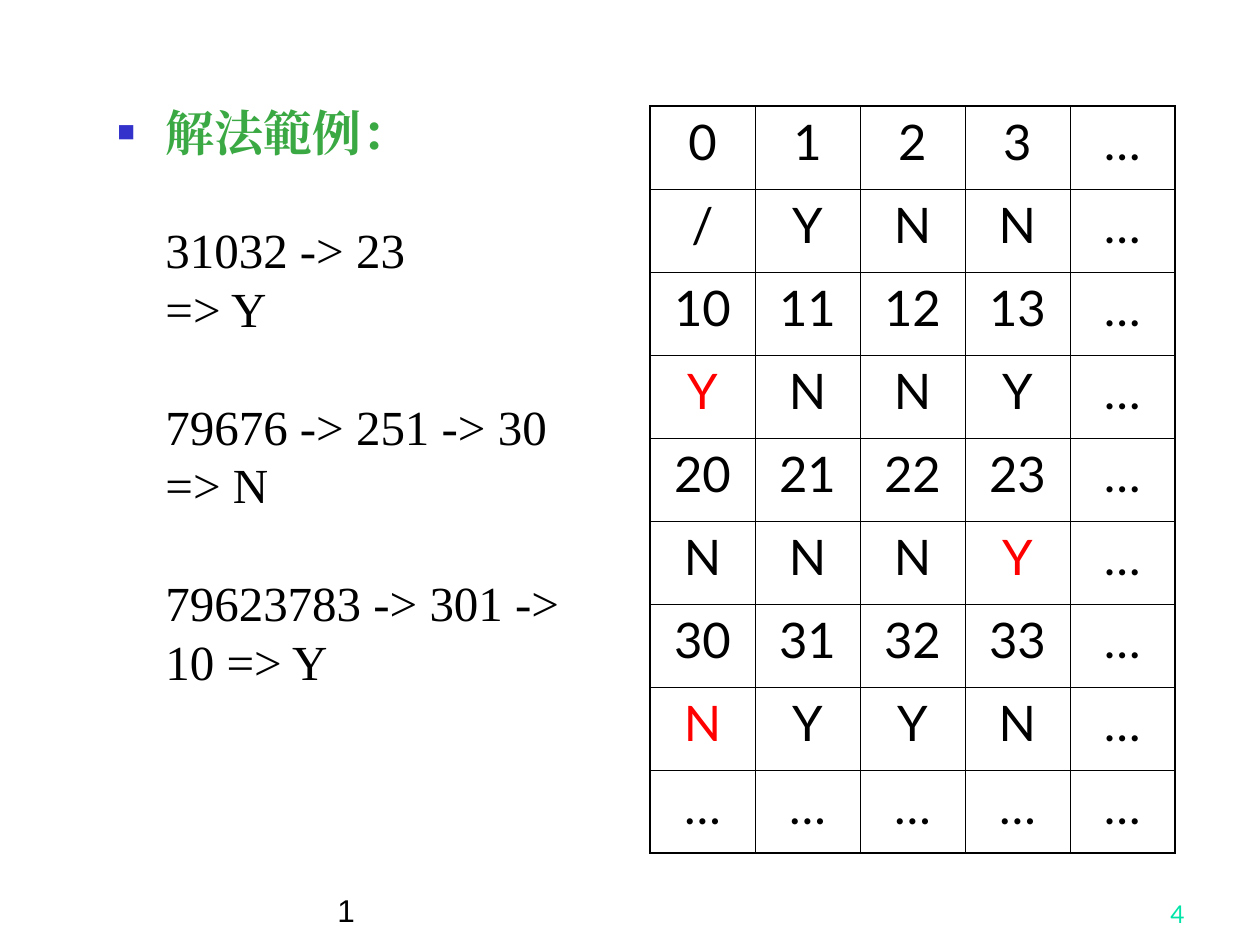
"""Build a slide with worked examples beside a lookup table of Y and N answers."""
from typing import NamedTuple, Optional

from lxml.etree import SubElement
from pptx import Presentation
from pptx.dml.color import RGBColor
from pptx.enum.text import MSO_ANCHOR as Anchor, PP_ALIGN as Align
from pptx.oxml.ns import qn
from pptx.util import Emu, Pt

PIXELS_PER_INCH = 126
BLACK, RED, GREEN, BLUE, TEAL = "000000", "FF0000", "3BA943", "3333CC", "00E4A8"
SERIF, SANS, NUMBER_FONT = "Times New Roman", "Lato", "Arial"
LINE_PITCH = 33.6
HANGING = 48
THIN, THICK = 0.45, 1.08


class Box(NamedTuple):
    left: int
    top: int
    width: int
    height: int


class PageNumber(NamedTuple):
    text: str
    box: Box
    size: int
    font: str
    color: str
    align: Align


TITLE = "解法範例："
EXAMPLES = ["31032 -> 23\v=> Y", "79676 -> 251 -> 30\v=> N", "79623783 -> 301 -> 10 => Y"]
EXAMPLE_BOX = Box(105, 96, 525, 755)
GRID_BOX = Box(650, 106, 525, 747)
GRID = [
    "0 1 2 3 …", "/ Y N N …",
    "10 11 12 13 …", "Y N N Y …",
    "20 21 22 23 …", "N N N Y …",
    "30 31 32 33 …", "N Y Y N …",
    "… … … … …",
]
HIGHLIGHTS = {(3, 0), (5, 3), (7, 0)}
PAGE_NUMBERS = [
    PageNumber("1", Box(325, 872, 683, 63), 18, NUMBER_FONT, BLACK, Align.LEFT),
    PageNumber("4", Box(935, 872, 262, 63), 14, SANS, TEAL, Align.RIGHT),
]


def px(length: int) -> Emu:
    return Emu(round(length * 914400 / PIXELS_PER_INCH))


def rgb(color: str) -> RGBColor:
    return RGBColor.from_string(color)


def write(paragraph, text: str, *, font: str, size: int, color: str = BLACK,
          bold: bool = False, align: Align = Align.LEFT,
          pitch: Optional[float] = None, before: float = 0) -> None:
    paragraph.text = text
    paragraph.alignment = align
    paragraph.space_before = Pt(before)
    if pitch:
        paragraph.line_spacing = Pt(pitch)
    for run in paragraph.runs:
        run.font.size, run.font.bold = Pt(size), bold
        run.font.color.rgb = rgb(color)
        run.font.name = font
        SubElement(run.font._element, qn("a:ea"), typeface=font)


def indent(paragraph, hanging: bool) -> None:
    properties = paragraph._p.get_or_add_pPr()
    properties.set("marL", str(px(HANGING)))
    properties.set("indent", str(-px(HANGING) if hanging else 0))
    if hanging:
        color = SubElement(properties, qn("a:buClr"))
        SubElement(color, qn("a:srgbClr"), val=BLUE)
        SubElement(properties, qn("a:buSzPct"), val="60000")
        SubElement(properties, qn("a:buFont"), typeface=NUMBER_FONT)
        SubElement(properties, qn("a:buChar"), char="■")


def add_text_frame(slide, box: Box, anchor: Anchor = Anchor.TOP):
    frame = slide.shapes.add_textbox(*map(px, box)).text_frame
    frame.word_wrap = True
    frame.vertical_anchor = anchor
    return frame


def add_examples(slide) -> None:
    frame = add_text_frame(slide, EXAMPLE_BOX)
    title = frame.paragraphs[0]
    write(title, TITLE, font=SERIF, size=28, color=GREEN, bold=True, pitch=LINE_PITCH)
    indent(title, hanging=True)
    for example in EXAMPLES:
        paragraph = frame.add_paragraph()
        write(paragraph, example, font=SERIF, size=28, pitch=LINE_PITCH, before=LINE_PITCH)
        indent(paragraph, hanging=False)


def set_borders(cell, outer_sides: dict[str, bool]) -> None:
    properties = cell._tc.get_or_add_tcPr()
    for position, (side, outer) in enumerate(outer_sides.items()):
        width = Pt(THICK if outer else THIN)
        line = SubElement(properties, qn(f"a:ln{side}"), w=str(width))
        fill = SubElement(line, qn("a:solidFill"))
        SubElement(fill, qn("a:srgbClr"), val=BLACK)
        properties.insert(position, line)


def add_grid(slide) -> None:
    rows = [line.split() for line in GRID]
    row_count, column_count = len(rows), len(rows[0])
    table = slide.shapes.add_table(row_count, column_count, *map(px, GRID_BOX)).table
    table.first_row = table.horz_banding = False
    for column in table.columns:
        column.width = px(GRID_BOX.width // column_count)
    for row_index, row in enumerate(rows):
        table.rows[row_index].height = px(GRID_BOX.height // row_count)
        for column_index, text in enumerate(row):
            cell = table.cell(row_index, column_index)
            cell.fill.background()
            set_borders(cell, {
                "L": column_index == 0, "R": column_index == column_count - 1,
                "T": row_index == 0, "B": row_index == row_count - 1,
            })
            color = RED if (row_index, column_index) in HIGHLIGHTS else BLACK
            write(cell.text_frame.paragraphs[0], text, font=SANS, size=28,
                  color=color, align=Align.CENTER)


def add_page_number(slide, number: PageNumber) -> None:
    frame = add_text_frame(slide, number.box, Anchor.BOTTOM)
    write(frame.paragraphs[0], number.text, font=number.font, size=number.size,
          color=number.color, align=number.align)


def main() -> None:
    presentation = Presentation()
    presentation.slide_width, presentation.slide_height = px(1260), px(945)
    slide = presentation.slides.add_slide(presentation.slide_layouts[6])
    add_examples(slide)
    add_grid(slide)
    for number in PAGE_NUMBERS:
        add_page_number(slide, number)
    presentation.save("out.pptx")


if __name__ == "__main__":
    main()
